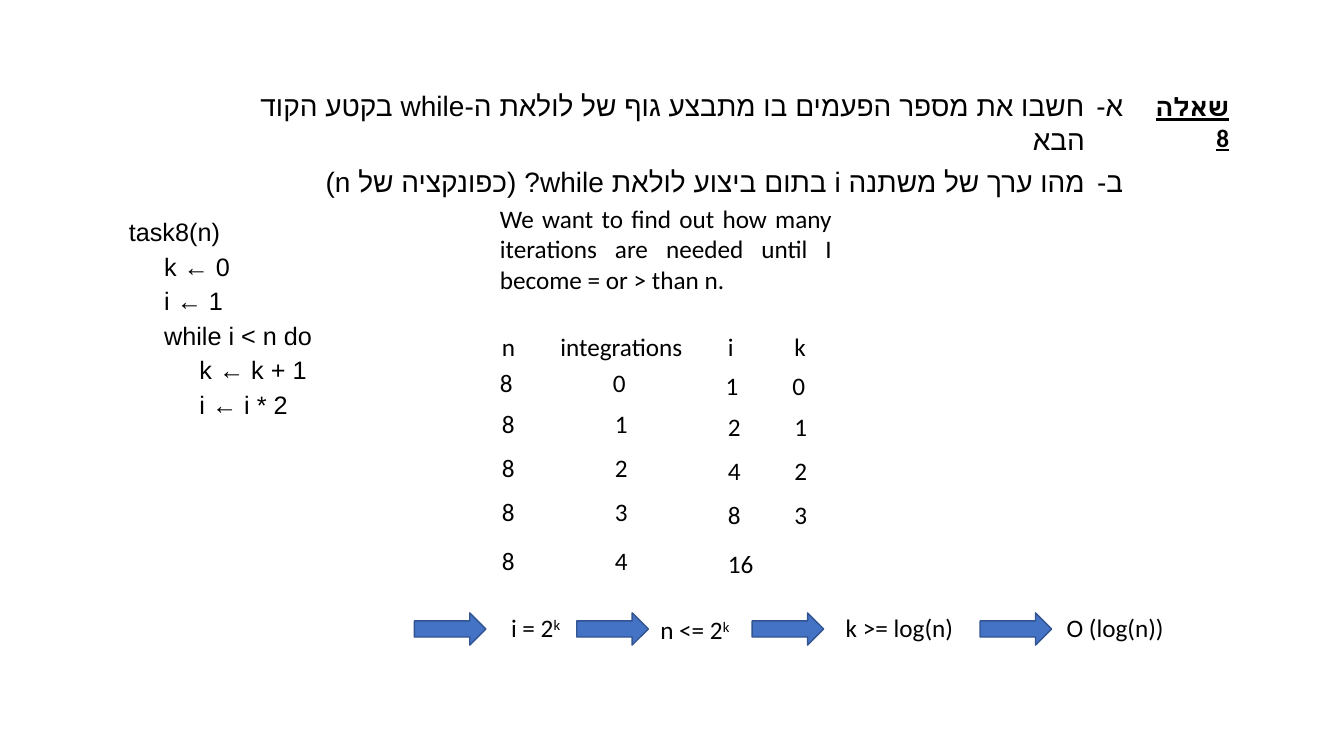
"""Build the slide for question 8: loop counting with a trace table and its conclusion."""
from lxml.etree import SubElement
from pptx import Presentation
from pptx.dml.color import RGBColor
from pptx.enum.shapes import MSO_SHAPE
from pptx.enum.text import MSO_ANCHOR, MSO_AUTO_SIZE, PP_ALIGN
from pptx.oxml.ns import qn
from pptx.util import Inches, Pt

COLORS = {"text": "000000", "arrow": "4472C4", "arrow_line": "325491"}


def prepare_frame(shape, left, top, width, height):
    shape.left, shape.top = Inches(left), Inches(top)
    shape.width, shape.height = Inches(width), Inches(height)
    frame = shape.text_frame
    frame.word_wrap = True
    frame.auto_size = MSO_AUTO_SIZE.SHAPE_TO_FIT_TEXT
    frame.vertical_anchor = MSO_ANCHOR.TOP
    return frame


def add_run(paragraph, text, font="Calibri", size=18, complex_font=None):
    run = paragraph.add_run()
    run.text = text
    run.font.name = font
    run.font.size = Pt(size)
    run.font.color.rgb = RGBColor.from_string(COLORS["text"])
    if complex_font:
        SubElement(run.font._element, qn("a:cs"), typeface=complex_font)
    return run


presentation = Presentation()
presentation.slide_width = Inches(13.33)
presentation.slide_height = Inches(7.5)
slide = presentation.slides.add_slide(presentation.slide_layouts[1])

title_frame = prepare_frame(slide.shapes.title, 11.27, 0.86, 1.02, 0.4)
paragraph = title_frame.paragraphs[0]
paragraph.alignment = PP_ALIGN.JUSTIFY
paragraph._p.get_or_add_pPr().set("rtl", "1")
run = add_run(paragraph, "שאלה 8", "Times New Roman", 18, "Calibri")
run.font.bold = True
run.font.underline = True

questions = [
    [("חשבו את מספר הפעמים בו מתבצע גוף של לולאת ה-", "Times New Roman"),
     ("while", "Arial"), (" בקטע הקוד הבא", "Times New Roman")],
    [("מהו ערך של משתנה ", "Times New Roman"), ("i", "Arial"),
     (" בתום ביצוע לולאת ", "Times New Roman"), ("while", "Arial"),
     ("? (כפונקציה של ", "Times New Roman"), ("n", "Arial"), (")", "Times New Roman")],
]
question_frame = prepare_frame(slide.placeholders[1], 2.29, 0.83, 8.95, 0.86)
for index, pieces in enumerate(questions):
    paragraph = question_frame.add_paragraph() if index else question_frame.paragraphs[0]
    paragraph.alignment = PP_ALIGN.RIGHT
    paragraph.space_before = Pt(6)
    properties = paragraph._p.get_or_add_pPr()
    properties.set("rtl", "1")
    properties.set("marL", str(Inches(0.38)))
    properties.set("indent", str(Inches(-0.38)))
    SubElement(properties, qn("a:buFont"), typeface="Arial")
    SubElement(properties, qn("a:buAutoNum"), type="hebrew2Minus")
    for text, font in pieces:
        add_run(paragraph, text, font, 20, "Arial")

code_lines = [(0, "task8(n)"), (1, "k ← 0"), (1, "i ← 1"), (1, "while i < n do"),
              (2, "k ← k + 1"), (2, "i ← i * 2")]
code_box = slide.shapes.add_textbox(0, 0, 0, 0)
code_frame = prepare_frame(code_box, 1.18, 2.1, 2.42, 2.13)
for index, (depth, text) in enumerate(code_lines):
    paragraph = code_frame.add_paragraph() if index else code_frame.paragraphs[0]
    paragraph.space_before = Pt(3)
    paragraph._p.get_or_add_pPr().set("marL", str(Inches(0.35 * depth)))
    add_run(paragraph, text, "Arial")

notes = [
    (4.86, 1.97, 3.49, 1.01,
     "We want to find out how many iterations are needed until I become = or > than n.", ""),
    (4.97, 6.03, 0.75, 0.4, "i = 2", "k"),
    (6.45, 6.05, 1.11, 0.4, "n <= 2", "k"),
    (8.29, 6.03, 1.3, 0.4, "k >= log(n)", ""),
    (10.48, 6.03, 1.3, 0.4, "O (log(n))", ""),
]
trace_columns = [
    (4.88, 0.43, 0, ["n", "8", "8", "8", "8", "8"]),
    (6, 0.43, 0, ["integrations", "0", "1", "2", "3", "4"]),
    (7.12, 0.5, 0.03, ["i", "1", "2", "4", "8", "16"]),
    (7.78, 0.43, 0.03, ["k", "0", "1", "2", "3"]),
]
row_tops = [3.24, 3.59, 4, 4.44, 4.87, 5.36]
for left, width, drop, values in trace_columns:
    for row, (top, value) in enumerate(zip(row_tops, values)):
        if value == "integrations":
            notes.append((5.46, top, 1.5, 0.4, value, ""))
        else:
            shift = -0.02 if row == 1 else 0
            notes.append((left + shift, top + (drop if row else 0), width, 0.4, value, ""))

for left, top, width, height, text, exponent in notes:
    box = slide.shapes.add_textbox(0, 0, 0, 0)
    paragraph = prepare_frame(box, left, top, width, height).paragraphs[0]
    paragraph.alignment = PP_ALIGN.JUSTIFY
    add_run(paragraph, text)
    if exponent:
        add_run(paragraph, exponent).font._element.set("baseline", "30000")

for left in (4.11, 5.72, 7.46, 9.72):
    arrow = slide.shapes.add_shape(
        MSO_SHAPE.RIGHT_ARROW, Inches(left), Inches(6.08), Inches(0.71), Inches(0.32))
    arrow.shadow.inherit = False
    arrow.fill.solid()
    arrow.fill.fore_color.rgb = RGBColor.from_string(COLORS["arrow"])
    arrow.line.color.rgb = RGBColor.from_string(COLORS["arrow_line"])
    arrow.line.width = Pt(1)

presentation.save("out.pptx")
